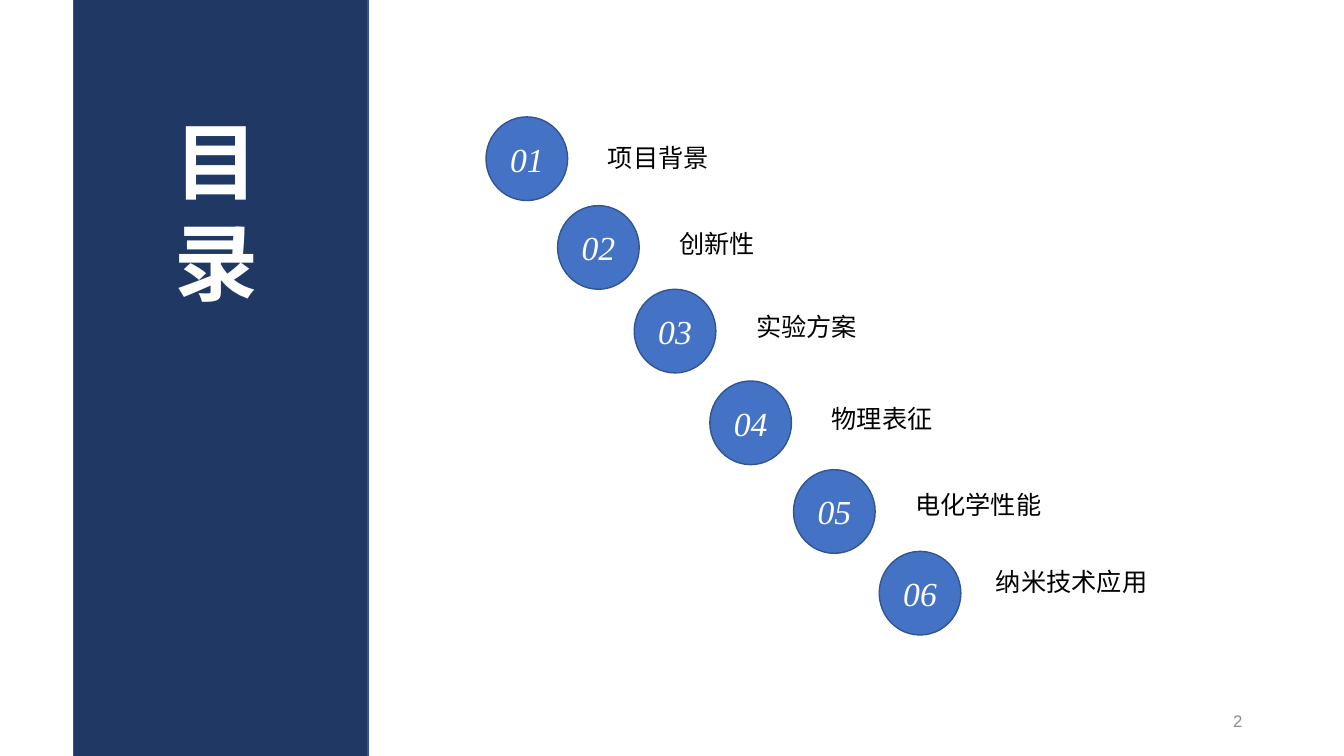
import pptx
import pptx.dml.color
import pptx.enum.shapes
import pptx.enum.text
import pptx.oxml.ns
import pptx.util
from lxml import etree
from pptx.util import Inches

RGBColor = pptx.dml.color.RGBColor
NAVY = RGBColor(0x20, 0x38, 0x64)
BLUE = RGBColor(0x44, 0x72, 0xC4)
OUTLINE = RGBColor(0x32, 0x54, 0x91)
WHITE = RGBColor(0xFF, 0xFF, 0xFF)
BLACK = RGBColor(0, 0, 0)
GRAY = RGBColor(0x8C, 0x8C, 0x8C)

SHAPES = pptx.enum.shapes.MSO_SHAPE
ALIGN = pptx.enum.text.PP_ALIGN
ANCHOR = pptx.enum.text.MSO_ANCHOR

TITLE = {"name": "Noto Sans CJK SC", "size": pptx.util.Pt(60), "bold": True}
NUMBER = {"name": "Times New Roman", "size": pptx.util.Pt(24), "italic": True}
LABEL = {"name": "Arial", "size": pptx.util.Pt(18)}
PAGE = {"name": "Arial", "size": pptx.util.Pt(12)}

ENTRIES = [
    ("项目背景", (4.82, 1.16), (5.93, 1.36)),
    ("创新性", (5.53, 2.04), (6.64, 2.22)),
    ("实验方案", (6.29, 2.87), (7.4, 3.04)),
    ("物理表征", (7.04, 3.78), (8.15, 3.95)),
    ("电化学性能", (7.87, 4.66), (8.98, 4.81)),
    ("纳米技术应用", (8.72, 5.47), (9.78, 5.57)),
]


def write_text(shape, lines, font_format, color, align=ALIGN.LEFT, anchor=ANCHOR.MIDDLE):
    """Fill a shape with formatted lines and return its paragraphs."""
    frame = shape.text_frame
    frame.word_wrap = True
    frame.vertical_anchor = anchor
    frame.text = "\n".join(lines)
    for paragraph in frame.paragraphs:
        paragraph.alignment = align
        for run in paragraph.runs:
            for attribute, value in font_format.items():
                setattr(run.font, attribute, value)
            run.font.color.rgb = color
    return frame.paragraphs


def add_box(slide, left, top, width, height):
    """Add a text box at a place given in inches."""
    return slide.shapes.add_textbox(*map(Inches, (left, top, width, height)))


def add_solid(slide, kind, box, fill):
    """Add a filled and outlined preset shape."""
    shape = slide.shapes.add_shape(kind, *map(Inches, box))
    shape.shadow.inherit = False
    shape.fill.solid()
    shape.fill.fore_color.rgb = fill
    shape.line.color.rgb = OUTLINE
    shape.line.width = pptx.util.Pt(1)
    return shape


def add_sidebar(slide, left, top, width, height):
    """Draw the navy band with its stacked title."""
    add_solid(slide, SHAPES.RECTANGLE, (left, top, width, height), NAVY)
    title = add_box(slide, left + 0.9, top + 0.51, 1.83, 3.21)
    for paragraph in write_text(title, ["目", "录"], TITLE, WHITE):
        paragraph.line_spacing = pptx.util.Pt(72)
        for run in paragraph.runs:
            east_asian = etree.SubElement(run.font._element, pptx.oxml.ns.qn("a:ea"))
            east_asian.set("typeface", TITLE["name"])


def add_entry(slide, number, text, circle_at, label_at):
    """Draw one numbered circle and its label."""
    label = add_box(slide, *label_at, 2.89, 0.4)
    write_text(label, [text], LABEL, BLACK, anchor=ANCHOR.TOP)
    circle = add_solid(slide, SHAPES.OVAL, (*circle_at, 0.81, 0.83), BLUE)
    write_text(circle, [f"{number:02d}"], NUMBER, WHITE, ALIGN.CENTER)


def add_page_number(slide, left, top, width, height):
    """Write the page number at the right of its box."""
    write_text(add_box(slide, left, top, width, height), ["2"], PAGE, GRAY, ALIGN.RIGHT)


def main():
    """Build the contents slide and save it."""
    presentation = pptx.Presentation()
    presentation.slide_width = Inches(13.33)
    presentation.slide_height = Inches(7.5)
    slide = presentation.slides.add_slide(presentation.slide_layouts[6])
    add_sidebar(slide, 0.73, -0.03, 2.92, 7.54)
    for number, entry in enumerate(ENTRIES, 1):
        add_entry(slide, number, *entry)
    add_page_number(slide, 9.42, 6.95, 3, 0.4)
    presentation.save("out.pptx")


if __name__ == "__main__":
    main()
